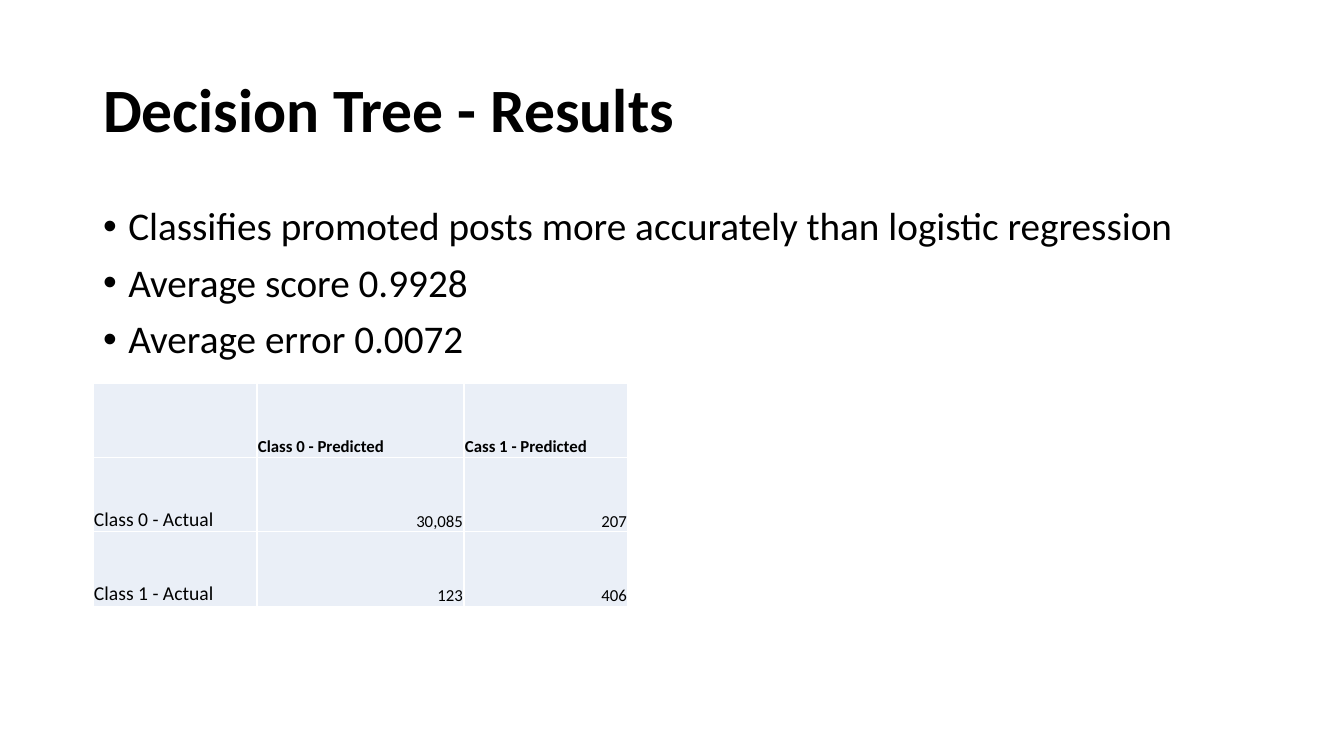
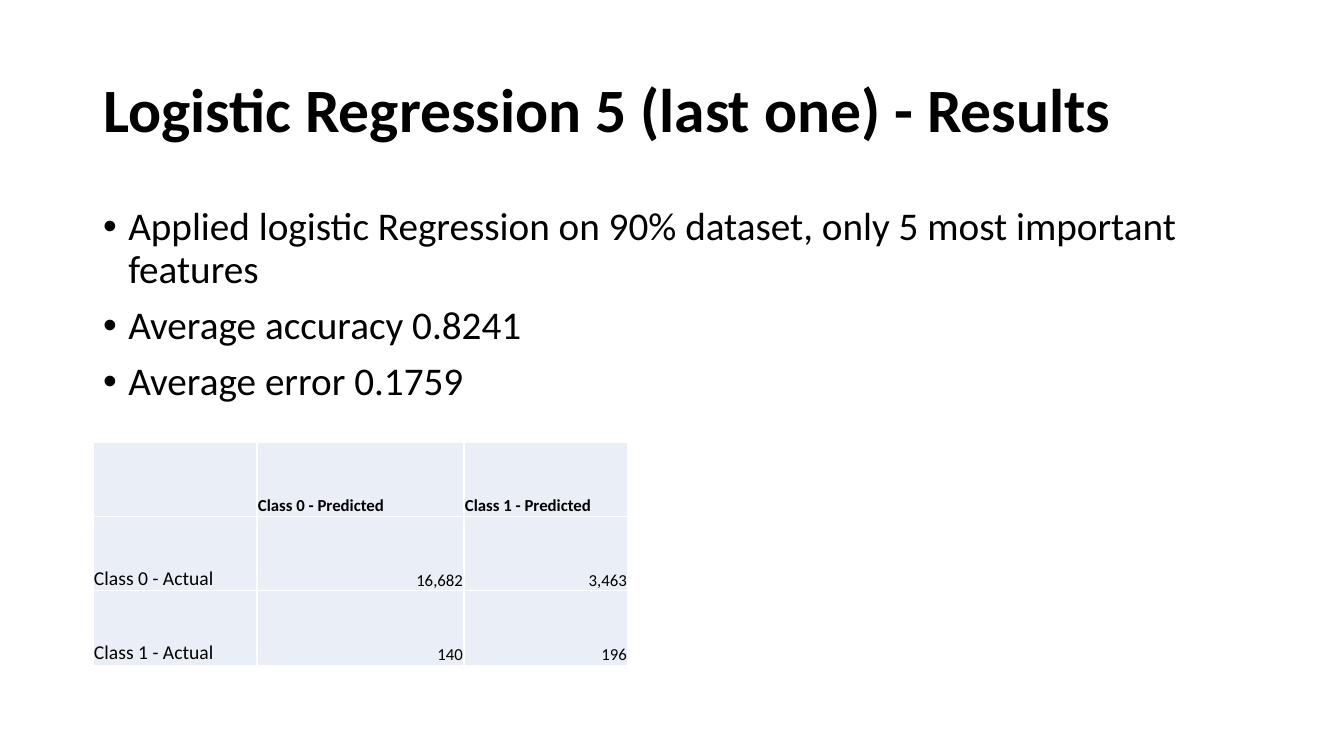
from dataclasses import dataclass
from lxml.etree import SubElement as Sub
from pptx import Presentation
from pptx.dml.color import RGBColor as RGB
from pptx.enum.text import MSO_ANCHOR as Anchor, MSO_AUTO_SIZE as Fit, PP_ALIGN as Align
from pptx.oxml.ns import qn
from pptx.util import Pt

SCALE = 914400 / 100.8


@dataclass(frozen=True)
class Theme:
    font: str = "Calibri"
    ink: str = "000000"
    cell: str = "EAEFF7"
    rule: str = "FFFFFF"
    title: int = 44
    body: int = 28
    label: int = 14
    small: int = 12


THEME = Theme()


def px(n):
    return round(n * SCALE)


def place(shape, left, top, width, height):
    shape.left, shape.top = px(left), px(top)
    shape.width, shape.height = px(width), px(height)


def style(para, size, bold=False, align=Align.LEFT):
    para.alignment = align
    for run in para.runs:
        font = run.font
        font.name, font.size, font.bold = THEME.font, Pt(size), bold
        font.color.rgb = RGB.from_string(THEME.ink)


def add_title(slide, text):
    shape = slide.shapes.title
    place(shape, 93, 40, 1159, 146)
    frame = shape.text_frame
    frame.text = text
    frame.auto_size, frame.vertical_anchor = Fit.NONE, Anchor.MIDDLE
    frame.paragraphs[0].line_spacing = 0.9
    style(frame.paragraphs[0], THEME.title, True)


def add_list(slide, items):
    shape = slide.placeholders[1]
    place(shape, 93, 202, 1159, 480)
    frame = shape.text_frame
    frame.text = "\n".join(items)
    frame.auto_size = Fit.NONE
    for para in frame.paragraphs:
        para.line_spacing, para.space_before = 0.9, Pt(10)
        props = para._p.get_or_add_pPr()
        props.set("marL", str(px(25.2)))
        props.set("indent", str(px(-25.2)))
        style(para, THEME.body)


def add_rules(cell):
    props = cell._tc.get_or_add_tcPr()
    for side in ("lnL", "lnR", "lnT", "lnB"):
        line = Sub(props, qn("a:" + side), w=str(Pt(1)))
        fill = Sub(line, qn("a:solidFill"))
        Sub(fill, qn("a:srgbClr"), val=THEME.rule)


def fill_cell(cell, text, row, col):
    add_rules(cell)
    cell.fill.solid()
    cell.fill.fore_color.rgb = RGB.from_string(THEME.cell)
    cell.margin_left = cell.margin_right = cell.margin_top = px(1)
    cell.margin_bottom = 0
    cell.vertical_anchor = Anchor.BOTTOM
    if text:
        cell.text = text
        size = THEME.small if col else THEME.label
        align = Align.RIGHT if row and col else Align.LEFT
        style(cell.text_frame.paragraphs[0], size, row == 0, align)


def add_matrix(slide, top, rows):
    widths = (164, 207, 164)
    high = 74.4
    frame = slide.shapes.add_table(len(rows), len(widths), px(93), px(top),
                                   px(sum(widths)), px(high * len(rows)))
    table = frame.table
    table.first_row = table.horz_banding = False
    for col, width in zip(table.columns, widths):
        col.width = px(width)
    for r, row in enumerate(rows):
        table.rows[r].height = px(high)
        for c, text in enumerate(row):
            fill_cell(table.cell(r, c), text, r, c)


def add_result(deck, title, items, top, rows):
    slide = deck.slides.add_slide(deck.slide_layouts[1])
    add_title(slide, title)
    add_list(slide, items)
    add_matrix(slide, top, rows)


def main():
    deck = Presentation()
    deck.slide_width, deck.slide_height = px(1344), px(756)
    add_result(
        deck, "Decision Tree - Results",
        ("Classifies promoted posts more accurately than logistic regression",
         "Average score 0.9928",
         "Average error 0.0072"),
        383,
        (("", "Class 0 - Predicted", "Cass 1 - Predicted"),
         ("Class 0 - Actual", "30,085", "207"),
         ("Class 1 - Actual", "123", "406")))
    add_result(
        deck, "Logistic Regression 5 (last one) - Results",
        ("Applied logistic Regression on 90% dataset, only 5 most important features",
         "Average accuracy 0.8241",
         "Average error 0.1759"),
        442,
        (("", "Class 0 - Predicted", "Class 1 - Predicted"),
         ("Class 0 - Actual", "16,682", "3,463"),
         ("Class 1 - Actual", "140", "196")))
    deck.save("out.pptx")


main()
